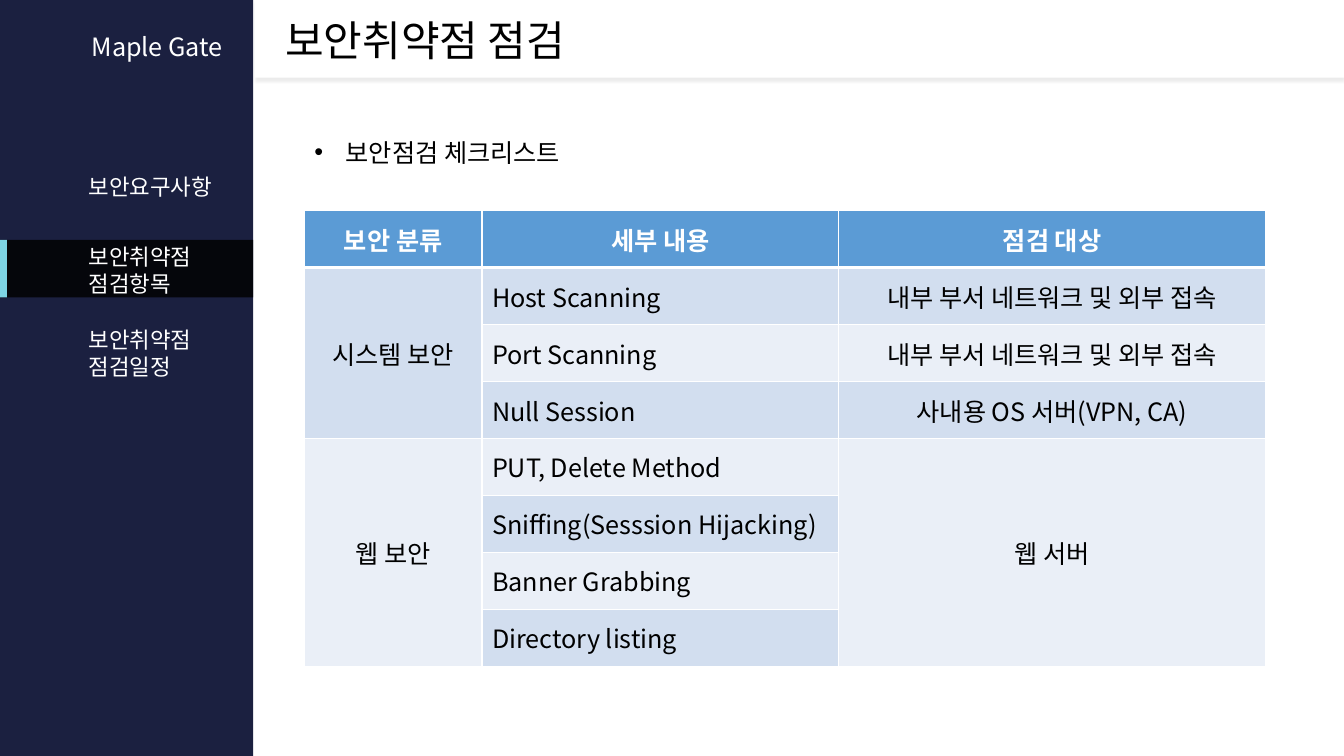
from lxml import etree
from pptx import Presentation
from pptx import util as u
from pptx.dml.color import RGBColor
from pptx.enum import shapes, text
from pptx.oxml import parse_xml
from pptx.oxml.ns import qn

FONT = "Noto Sans CJK KR"
NAVY, BLACK, WHITE, CYAN = "1B2040", "05060B", "FFFFFF", "7DD4E5"
INK, HEAD, BANDS = "000000", "5B9BD5", ("EAEFF7", "D2DEEF")

COMPANY = "Maple Gate"
TITLE = "보안취약점 점검"
MENU = [["보안요구사항"], ["보안취약점", "점검항목"], ["보안취약점", "점검일정"]]
CURRENT = 1
SUBTITLE = "보안점검 체크리스트"
NETWORK = "내부 부서 네트워크 및 외부 접속"
CHECKLIST = [  # None continues the cell above
    ("보안 분류", "세부 내용", "점검 대상"),
    ("시스템 보안", "Host Scanning", NETWORK),
    (None, "Port Scanning", NETWORK),
    (None, "Null Session", "사내용 OS 서버(VPN, CA)"),
    ("웹 보안", "PUT, Delete Method", "웹 서버"),
    (None, "Sniffing(Sesssion Hijacking)", None),
    (None, "Banner Grabbing", None),
    (None, "Directory listing", None),
]

SLIDE_W, SLIDE_H = 13.33, 7.5
SIDEBAR_W = 2.51
MENU_LEFT, MENU_CENTER, MENU_STEP = 0.78, 1.85, 0.83
MENU_HEIGHTS = {1: 0.37, 2: 0.64}
CONTENT_LEFT, TABLE_TOP, ROW_H = 3.02, 2.09, 0.565
COLUMNS = (1.76, 3.54, 4.23)

DRAWING = 'xmlns:a="http://schemas.openxmlformats.org/drawingml/2006/main"'
SHADOW = (f'<a:effectLst {DRAWING}><a:outerShdw blurRad="25400" dist="25400" dir="5400000" '
          'algn="t" rotWithShape="0"><a:srgbClr val="000000"><a:alpha val="8000"/>'
          '</a:srgbClr></a:outerShdw></a:effectLst>')


def color(value):
    return RGBColor.from_string(value)


def inches(*lengths):
    return [u.Inches(length) for length in lengths]


def add_block(slide, box, fill):
    block = slide.shapes.add_shape(shapes.MSO_SHAPE.RECTANGLE, *inches(*box))
    block.shadow.inherit = False
    block.fill.solid()
    block.fill.fore_color.rgb = color(fill)
    block.line.fill.background()
    return block


def style(paragraph, size, ink, bold=False):
    for run in paragraph.runs:
        run.font.size = u.Pt(size)
        run.font.bold = bold
        run.font.color.rgb = color(ink)
        run.font.name = FONT
        etree.SubElement(run.font._element, qn("a:ea")).set("typeface", FONT)


def add_label(slide, box, lines, size, ink, wrap=False):
    label = slide.shapes.add_textbox(*inches(*box))
    frame = label.text_frame
    frame.word_wrap = wrap
    frame.auto_size = text.MSO_AUTO_SIZE.SHAPE_TO_FIT_TEXT
    frame.text = "\n".join(lines)
    for paragraph in frame.paragraphs:
        style(paragraph, size, ink)
    return label


def add_bullet(paragraph, indent):
    properties = paragraph._p.get_or_add_pPr()
    properties.set("marL", str(u.Inches(indent)))
    properties.set("indent", str(-u.Inches(indent)))
    etree.SubElement(properties, qn("a:buFont")).set("typeface", "Arial")
    etree.SubElement(properties, qn("a:buChar")).set("char", "•")


def add_borders(cell, bottom):
    """Draw white cell borders, one point wide except the bottom one."""
    properties = cell._tc.get_or_add_tcPr()
    for place, (side, width) in enumerate(zip("LRTB", (1, 1, 1, bottom))):
        properties.insert(place, parse_xml(
            f'<a:ln{side} {DRAWING} w="{u.Pt(width)}"><a:solidFill>'
            f'<a:srgbClr val="{WHITE}"/></a:solidFill></a:ln{side}>'))


def add_sidebar(slide):
    add_block(slide, (0, 0, SIDEBAR_W, SLIDE_H), NAVY)
    add_label(slide, (0.81, 0.26, 1.72, 0.4), [COMPANY], 18, WHITE, wrap=True)
    marker_top = MENU_CENTER + CURRENT * MENU_STEP - 0.3
    for width, fill in ((SIDEBAR_W, BLACK), (0.07, CYAN)):
        add_block(slide, (0, marker_top, width, 0.57), fill)
    for index, lines in enumerate(MENU):
        height = MENU_HEIGHTS[len(lines)]
        top = MENU_CENTER + index * MENU_STEP - height / 2
        width = 1.55 if len(lines) == 1 else 1.32
        add_label(slide, (MENU_LEFT, top, width, height), lines, 16, WHITE)


def add_checklist(slide):
    box = (CONTENT_LEFT, TABLE_TOP, sum(COLUMNS), ROW_H * len(CHECKLIST))
    table = slide.shapes.add_table(len(CHECKLIST), len(COLUMNS), *inches(*box)).table
    for column, width in zip(table.columns, COLUMNS):
        column.width = u.Inches(width)
    for r, row in enumerate(CHECKLIST):
        table.rows[r].height = u.Inches(ROW_H)
        for c, words in enumerate(row):
            start = r
            while CHECKLIST[start][c] is None:
                start -= 1
            cell = table.cell(r, c)
            cell.fill.solid()
            cell.fill.fore_color.rgb = color(BANDS[start % 2] if r else HEAD)
            add_borders(cell, 1 if r else 3)
            if words is None:
                if r + 1 == len(CHECKLIST) or CHECKLIST[r + 1][c] is not None:
                    table.cell(start, c).merge(cell)
                continue
            cell.vertical_anchor = text.MSO_ANCHOR.MIDDLE
            cell.text = words
            paragraph = cell.text_frame.paragraphs[0]
            if r == 0 or c != 1:
                paragraph.alignment = text.PP_ALIGN.CENTER
            style(paragraph, 18, INK if r else WHITE, bold=r == 0)


def main():
    deck = Presentation()
    deck.slide_width, deck.slide_height = inches(SLIDE_W, SLIDE_H)
    slide = deck.slides.add_slide(deck.slide_layouts[6])

    title_bar = add_block(slide, (2.53, 0, SLIDE_W - 2.53, 0.77), WHITE)
    bar_properties = title_bar._element.spPr
    bar_properties.replace(bar_properties.find(qn("a:effectLst")), parse_xml(SHADOW))
    add_sidebar(slide)
    add_label(slide, (2.73, 0.09, 3.29, 0.61), [TITLE], 30, INK)
    add_checklist(slide)
    subtitle = add_label(slide, (CONTENT_LEFT, 1.31, 2.88, 0.4), [SUBTITLE], 18, INK)
    add_bullet(subtitle.text_frame.paragraphs[0], 0.31)
    deck.save("out.pptx")


if __name__ == "__main__":
    main()
